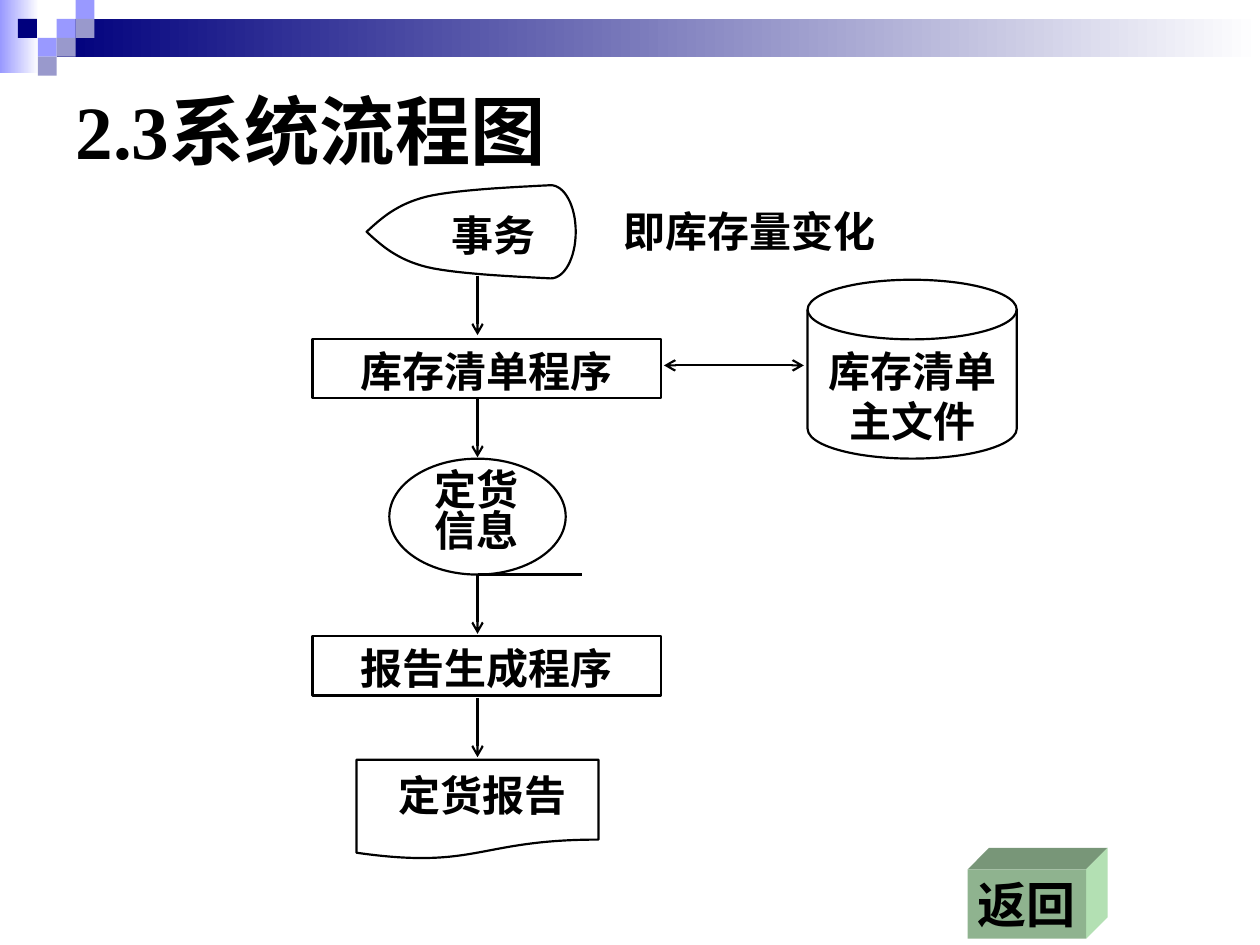
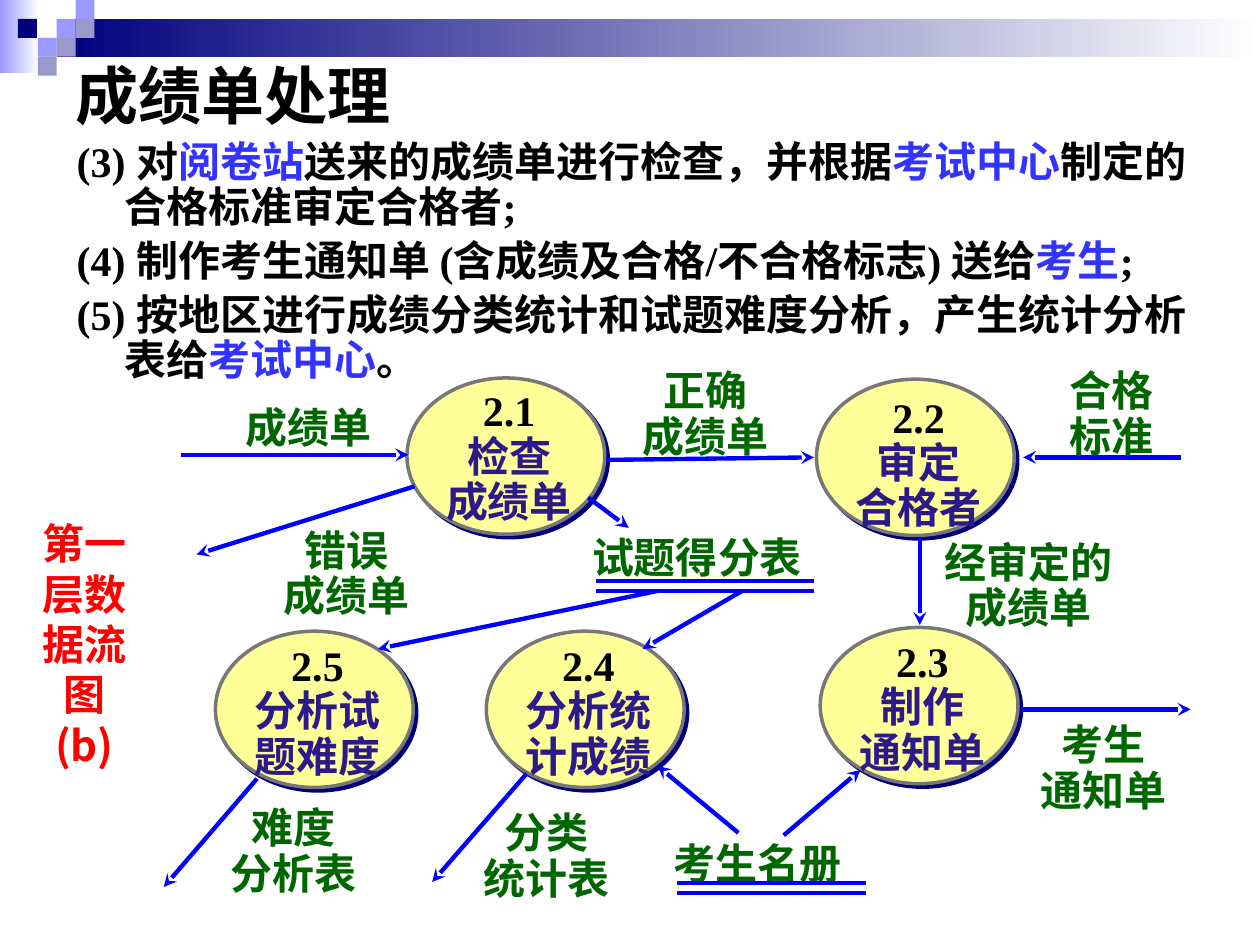
import dataclasses

import lxml.etree
import pptx
import pptx.dml.color
import pptx.enum.dml
import pptx.enum.shapes
import pptx.enum.text
import pptx.oxml
import pptx.oxml.ns
import pptx.util

Inches = pptx.util.Inches
Pt = pptx.util.Pt
SHAPE = pptx.enum.shapes.MSO_SHAPE
ALIGN = pptx.enum.text.PP_ALIGN
ANCHOR = pptx.enum.text.MSO_ANCHOR
qn = pptx.oxml.ns.qn

COLORS = {
    "ink": "000000", "paper": "FFFFFF", "navy": "00007D", "lilac": "9999FF",
    "greyblue": "9999CC", "link": "3333FF", "red": "FF0000", "green": "006600",
    "process": "FFFF99", "rim": "777777", "process_name": "2C1A88", "flow": "0000FF",
    "button_front": "8FB38F", "button_top": "789678", "button_side": "B3E0B3",
}
LATIN_FONT = "Times New Roman"
CJK_FONT = "Noto Sans CJK JP"


def rgb(name):
    return pptx.dml.color.RGBColor.from_string(COLORS[name])


def add_run(paragraph, text, color="ink", size=24, font=LATIN_FONT):
    run = paragraph.add_run()
    run.text = text
    run.font.size = Pt(size)
    run.font.bold = True
    run.font.name = font
    run.font.color.rgb = rgb(color)
    east_asian = lxml.etree.SubElement(run._r.get_or_add_rPr(), qn("a:ea"))
    east_asian.set("typeface", CJK_FONT)


def write(frame, lines, align=ALIGN.CENTER, spacing=1.0, inset=0.1, bottom=0.05,
          anchor=ANCHOR.TOP, wrap=True, space_before=0):
    frame.word_wrap = wrap
    frame.auto_size = pptx.enum.text.MSO_AUTO_SIZE.NONE
    frame.vertical_anchor = anchor
    frame.margin_left = frame.margin_right = Inches(inset)
    frame.margin_top = Inches(0.05)
    frame.margin_bottom = Inches(bottom)
    for index, runs in enumerate(lines):
        paragraph = frame.add_paragraph() if index else frame.paragraphs[0]
        paragraph.alignment = align
        paragraph.line_spacing = spacing
        paragraph.space_before = Pt(space_before)
        for run in runs:
            add_run(paragraph, *run)


def style(shape, fill=None, line=None, width=1.25):
    shape.shadow.inherit = False
    if fill:
        shape.fill.solid()
        shape.fill.fore_color.rgb = rgb(fill)
    else:
        shape.fill.background()
    if line:
        shape.line.color.rgb = rgb(line)
        shape.line.width = Pt(width)
    else:
        shape.line.fill.background()
    return shape


@dataclasses.dataclass
class Region:
    slide: object
    left: float
    top: float

    def place(self, x, y, w, h):
        return Inches(self.left + x), Inches(self.top + y), Inches(w), Inches(h)

    def shape(self, kind, box, fill=None, line=None, width=1.25):
        return style(self.slide.shapes.add_shape(kind, *self.place(*box)), fill, line, width)

    def text(self, box, lines, **layout):
        frame = self.slide.shapes.add_textbox(*self.place(*box)).text_frame
        write(frame, lines, **layout)
        return frame

    def outline(self, points, fill=None, line=None):
        spots = [(Inches(self.left + x), Inches(self.top + y)) for x, y in points]
        builder = self.slide.shapes.build_freeform(*spots[0], scale=1.0)
        builder.add_line_segments(spots[1:], close=True)
        return style(builder.convert_to_shape(), fill, line)

    def line(self, start, end, color="ink", width=1.25, ends=()):
        x1, y1, x2, y2 = (Inches(v) for v in (
            self.left + start[0], self.top + start[1], self.left + end[0], self.top + end[1]))
        link = self.slide.shapes.add_connector(
            pptx.enum.shapes.MSO_CONNECTOR.STRAIGHT, x1, y1, x2, y2)
        link.line.color.rgb = rgb(color)
        link.line.width = Pt(width)
        properties = link.element.spPr
        for tag, arrow in ends:
            lxml.etree.SubElement(properties.find(qn("a:ln")), qn(tag)).set("type", arrow)
        lxml.etree.SubElement(properties, qn("a:effectLst"))


def add_banner(slide, master):
    banner = Region(slide, 0, 0)
    parts = []
    for box, color in [((0, 0, 0.31, 0.58), "lilac"), ((0.45, 0.15, 9.55, 0.3), "navy")]:
        fade = banner.shape(SHAPE.RECTANGLE, box, color)
        fade.fill.gradient()
        fade.fill.gradient_angle = 0
        for stop, position, stop_color in zip(fade.fill.gradient_stops, (0, 1), (color, "paper")):
            stop.position = position
            stop.color.rgb = rgb(stop_color)
        parts.append(fade)
    tiles = [(3, 1, "lilac"), (4, 0, "lilac"), (4, 1, "greyblue"), (2, 2, "lilac"),
             (0.95, 1, "navy"), (3, 2, "greyblue"), (2, 3, "greyblue")]
    side = 0.15
    for column, row, color in tiles:
        parts.append(banner.shape(
            SHAPE.RECTANGLE, (column * side, row * side, side, side), color))
    for index, part in enumerate(parts):
        master.element.cSld.spTree.insert(2 + index, part.element)


def set_title(slide, text, size, top):
    title = slide.shapes.title
    title.left, title.top, title.width, title.height = (
        Inches(v) for v in (0.5, top, 9, 1.05))
    write(title.text_frame, [[(text, "ink", size)]], align=ALIGN.LEFT, anchor=ANCHOR.MIDDLE)


def bezier(a, b, c, d, steps=16):
    for step in range(steps):
        t = step / steps
        s = 1 - t
        yield tuple(s ** 3 * p + 3 * s * s * t * q + 3 * s * t * t * r + t ** 3 * u
                    for p, q, r, u in zip(a, b, c, d))


def display_outline(left, middle):
    curves = [((0, 0), (0.12, -0.11), (0.24, -0.22), (0.48, -0.28)),
              ((0.48, -0.28), (0.73, -0.34), (1.3, -0.36), (1.46, -0.37)),
              ((1.46, -0.37), (1.57, -0.37), (1.66, -0.21), (1.66, 0))]
    upper = [point for curve in curves for point in bezier(*curve)] + [(1.66, 0)]
    lower = [(x, -y) for x, y in reversed(upper[1:-1])]
    return [(left + x, middle + y) for x, y in upper + lower]


def system_flowchart(slide, left, top):
    chart = Region(slide, left, top)
    spine = 1.79
    arrow = [("a:tailEnd", "arrow")]

    chart.outline(display_outline(0.91, 0.84), line="ink")
    for y, program in [(1.69, "库存清单程序"), (4.05, "报告生成程序")]:
        box = chart.shape(SHAPE.RECTANGLE, (0.48, y, 2.77, 0.47), "paper", "ink")
        write(box.text_frame, [[(program,)]], bottom=0.07)
    chart.shape(SHAPE.FLOWCHART_MAGNETIC_DISK, (4.41, 1.22, 1.66, 1.42), line="ink")
    chart.shape(SHAPE.OVAL, (1.09, 2.64, 1.4, 0.92), line="ink")
    chart.shape(SHAPE.FLOWCHART_DOCUMENT, (0.83, 5.03, 1.92, 0.79), line="ink")

    for y in (1.19, 2.16, 3.56, 4.54):
        chart.line((spine, y), (spine, y + 0.47), ends=arrow)
    chart.line((spine, 3.56), (2.62, 3.56))
    chart.line((3.27, 1.9), (4.38, 1.9), ends=[("a:headEnd", "arrow")] + arrow)

    chart.text((1.22, 0.61, 1.39, 0.47), [[("事务",)]], bottom=0.07)
    chart.text((4.41, 1.69, 1.66, 0.79), [[("库存清单主文件",)]], inset=0.04, bottom=0.07)
    chart.text((1.09, 2.71, 1.39, 0.79), [[("定货",)], [("信息",)]], spacing=0.8, bottom=0.07)
    chart.text((1, 5.06, 1.66, 0.47), [[("定货报告",)]], inset=0.02, bottom=0.07)
    chart.text((2.85, 0.58, 2.77, 0.47), [[("即库存量变化",)]], align=ALIGN.JUSTIFY, bottom=0.07)


def return_button(slide, left, top, width, height, depth):
    button = Region(slide, left, top)
    back = width + depth
    button.outline([(0, 0), (depth, -depth), (back, -depth), (width, 0)], "button_top")
    button.outline([(width, 0), (back, -depth), (back, height - depth), (width, height)],
                   "button_side")
    front = button.shape(SHAPE.RECTANGLE, (0, 0, width, height), "button_front")
    write(front.text_frame, [[("返回", "ink", 28)]], anchor=ANCHOR.MIDDLE, wrap=False)


def requirements(slide, left, top):
    items = [
        [("(3) 对",), ("阅卷站", "link"), ("送来的成绩单进行检查，并根据",),
         ("考试中心", "link"), ("制定的合格标准审定合格者;",)],
        [("(4) 制作考生通知单 (含成绩及合格/不合格标志) 送给",), ("考生", "link"), (";",)],
        [("(5) 按地区进行成绩分类统计和试题难度分析，产生统计分析表给",),
         ("考试中心", "link"), ("。",)],
    ]
    frame = Region(slide, left, top).text(
        (0, 0, 9.15, 2.13), items, align=ALIGN.LEFT, spacing=0.9, space_before=4.8)
    for paragraph in frame.paragraphs:
        properties = paragraph._p.get_or_add_pPr()
        properties.set("marL", str(Inches(0.38)))
        properties.set("indent", str(-Inches(0.38)))


def process(diagram, x, y, label_top, number, name):
    bubble = diagram.shape(SHAPE.OVAL, (x, y, 1.57, 1.24), "process", "rim", 2)
    effects = bubble.element.spPr.find(qn("a:effectLst"))
    shadow = lxml.etree.SubElement(
        effects, qn("a:outerShdw"), dist=str(Pt(2.8)), dir="2700000", algn="ctr", rotWithShape="0")
    lxml.etree.SubElement(shadow, qn("a:srgbClr"), val=COLORS["navy"])
    lines = [[(number,)]] + [[(part, "process_name")] for part in name]
    diagram.text((x + 0.11, label_top, 1.4, 1.18), lines, spacing=0.9)


def data_flow_diagram(slide, left, top):
    diagram = Region(slide, left, top)
    processes = [
        (2.23, 0.5, 0.55, "2.1", ("检查", "成绩单")),
        (5.48, 0.51, 0.6, "2.2", ("审定", "合格者")),
        (5.51, 2.48, 2.54, "2.3", ("制作", "通知单")),
        (2.86, 2.51, 2.57, "2.4", ("分析统", "计成绩")),
        (0.71, 2.51, 2.57, "2.5", ("分析试", "题难度")),
    ]
    for entry in processes:
        process(diagram, *entry)

    flows = [
        ((0.44, 1.11), (2.24, 1.11)), ((2.29, 1.36), (0.56, 1.9)),
        ((3.67, 1.45), (3.99, 1.69)), ((3.81, 1.15), (5.46, 1.13)),
        ((8.37, 1.13), (7.12, 1.13)), ((6.3, 1.77), (6.3, 2.46)),
        ((7.1, 3.13), (8.45, 3.13)), ((4.22, 2.19), (2, 2.65)),
        ((4.89, 2.19), (4.1, 2.65)), ((1.04, 3.68), (0.3, 4.54)),
        ((3.18, 3.64), (2.43, 4.5)), ((4.86, 4.11), (4.22, 3.58)),
        ((5.22, 4.13), (5.83, 3.61)),
    ]
    for start, end in flows:
        diagram.line(start, end, "flow", 2.5, [("a:tailEnd", "stealth")])

    stores = [((3.6, 1.67, 2.11, 0.5), "试题得分表", 3.73, 2.11, 1.73),
              ((4.25, 4.1, 1.53, 0.5), "考生名册", 4.37, 4.51, 1.5)]
    for box, store, x, y, length in stores:
        diagram.text(box, [[(store, "green")]], align=ALIGN.LEFT, wrap=False)
        for bar in (y, y + 0.08):
            diagram.line((x, bar), (x + length, bar), "flow", 2.5)

    diagram.text((0.6, 0.64, 1.7, 0.5), [[("成绩单", "green")]])
    flow_names = [
        (3.82, 0.39, 1.56, ("正确", "成绩单")), (7.33, 0.39, 0.98, ("合格", "标准")),
        (1.03, 1.66, 1.44, ("错误", "成绩单")), (6.16, 1.75, 2, ("经审定的", "成绩单")),
        (7.01, 3.2, 1.5, ("考生", "通知单")), (0.62, 3.86, 1.42, ("难度", "分析表")),
        (2.62, 3.9, 1.43, ("分类", "统计表")),
    ]
    for x, y, width, name in flow_names:
        diagram.text((x, y, width, 0.82), [[(part, "green")] for part in name], spacing=0.9)


def level_caption(slide, left, top):
    Region(slide, left, top).text(
        (0, 0, 0.94, 2.1), [[("第一层数据流图 (b)", "red", 24, CJK_FONT)]])


def main():
    deck = pptx.Presentation()
    deck.slide_width, deck.slide_height = Inches(10), Inches(7.5)
    title_only = deck.slide_layouts[5]

    flowchart = deck.slides.add_slide(title_only)
    add_banner(flowchart, deck.slide_master)
    set_title(flowchart, "2.3系统流程图", 43, 0.5)
    system_flowchart(flowchart, 2, 1)
    return_button(flowchart, 7.68, 6.9, 0.94, 0.55, 0.17)

    grading = deck.slides.add_slide(title_only)
    set_title(grading, "成绩单处理", 36, 0.22)
    requirements(grading, 0.51, 1.07)
    level_caption(grading, 0.2, 4.06)
    data_flow_diagram(grading, 1, 2.5)

    deck.save("out.pptx")


if __name__ == "__main__":
    main()
